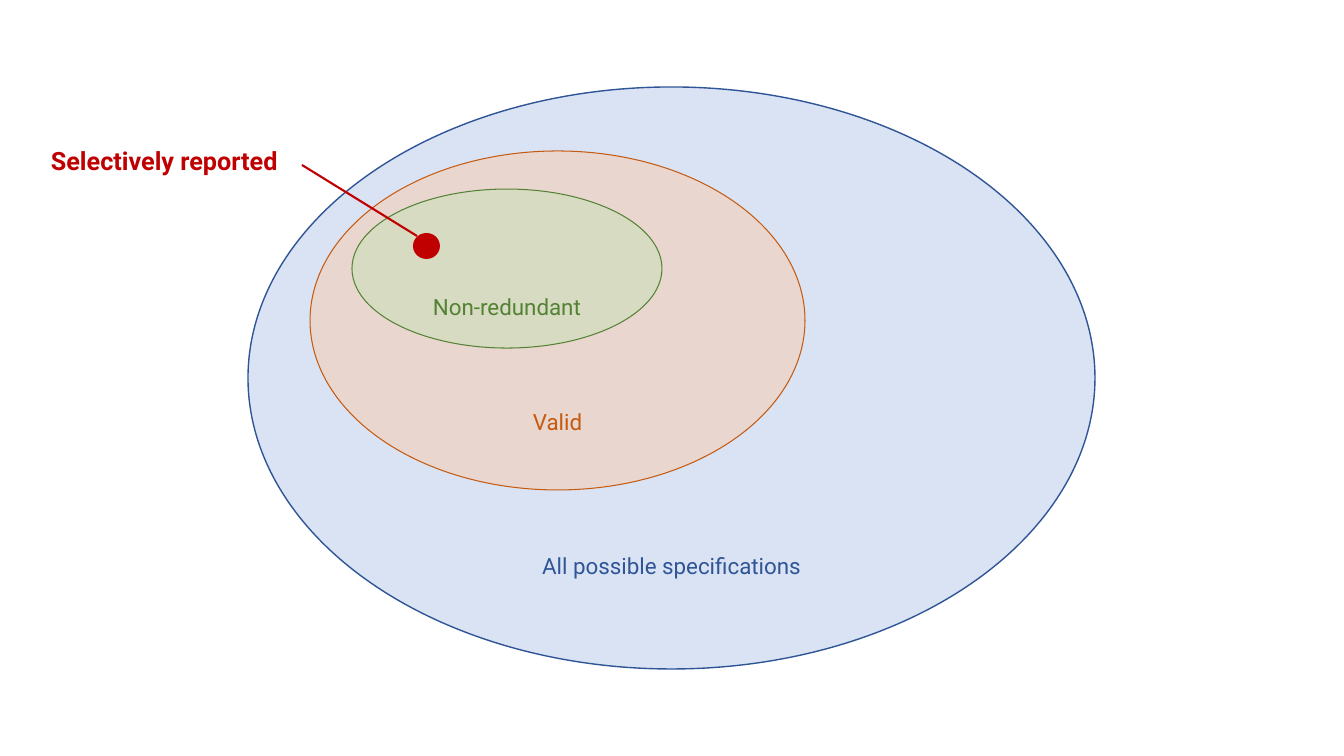
import pptx
import pptx.util
import pptx.dml.color
import pptx.enum.shapes
import pptx.enum.text
import pptx.oxml.ns
from dataclasses import dataclass
from lxml import etree

SCALE = 914400 / 100.8


@dataclass(frozen=True)
class Theme:
    """Colours, font and type sizes of the slide."""
    blue: str = "2F5597"
    sky: str = "DAE3F3"
    rust: str = "C55A11"
    peach: str = "F8CBAD"
    green: str = "548235"
    lime: str = "C5E0B4"
    red: str = "C00000"
    font: str = "Roboto"
    body: int = 16
    label: int = 18


THEME = Theme()


def emu(*pixels):
    """Turn pixels into EMU."""
    return [pptx.util.Emu(round(p * SCALE)) for p in pixels]


def color(code):
    """Return a colour from its hex code."""
    return pptx.dml.color.RGBColor.from_string(code)


def write(frame, text, tint, size, **values):
    """Write one line of text with the given font values."""
    frame.word_wrap = True
    run = frame.paragraphs[0].add_run()
    run.text = text
    run.font.color.rgb = color(tint)
    values.update(name=THEME.font, size=pptx.util.Pt(size))
    for key, value in values.items():
        setattr(run.font, key, value)


def add_oval(slide, box, fill, alpha=100):
    """Add a filled ellipse without an outline."""
    kind = pptx.enum.shapes.MSO_SHAPE.OVAL
    oval = slide.shapes.add_shape(kind, *emu(*box))
    oval.shadow.inherit = False
    oval.fill.solid()
    oval.fill.fore_color.rgb = color(fill)
    oval.line.fill.background()
    if alpha < 100:
        tag = pptx.oxml.ns.qn("a:srgbClr")
        node = next(oval.fill._xPr.iter(tag))
        etree.SubElement(node, pptx.oxml.ns.qn("a:alpha"), val=str(alpha * 1000))
    return oval


def add_set(slide, text, box, fill, tint, width, alpha):
    """Add an outlined set with its name at the bottom."""
    oval = add_oval(slide, box, fill, alpha)
    oval.line.color.rgb = color(tint)
    oval.line.width = pptx.util.Pt(width)
    frame = oval.text_frame
    frame.vertical_anchor = pptx.enum.text.MSO_ANCHOR.BOTTOM
    frame.paragraphs[0].alignment = pptx.enum.text.PP_ALIGN.CENTER
    write(frame, text, tint, THEME.body)


def add_label(slide, text, box, tint):
    """Add a bold text label."""
    frame = slide.shapes.add_textbox(*emu(*box)).text_frame
    write(frame, text, tint, THEME.label, bold=True)
    frame.auto_size = pptx.enum.text.MSO_AUTO_SIZE.SHAPE_TO_FIT_TEXT


def add_line(slide, ends, tint, width):
    """Add a straight line without a shadow."""
    kind = pptx.enum.shapes.MSO_CONNECTOR.STRAIGHT
    line = slide.shapes.add_connector(kind, *emu(*ends))
    line.line.color.rgb = color(tint)
    line.line.width = pptx.util.Pt(width)
    etree.SubElement(line._element.spPr, pptx.oxml.ns.qn("a:effectLst"))


def main():
    """Build the nested sets and the marked point."""
    deck = pptx.Presentation()
    deck.slide_width, deck.slide_height = emu(1344, 756)
    slide = deck.slides.add_slide(deck.slide_layouts[6])
    sets = [
        ("All possible specifications", (248, 87, 847, 582),
         THEME.sky, THEME.blue, 1, 100),
        ("Valid", (310, 151, 495, 339), THEME.peach, THEME.rust, 0.75, 50),
        ("Non-redundant", (352, 189, 310, 159),
         THEME.lime, THEME.green, 0.75, 50),
    ]
    for item in sets:
        add_set(slide, *item)
    add_oval(slide, (413, 233, 27, 26), THEME.red)
    add_label(slide, "Selectively reported", (41, 140, 324, 40), THEME.red)
    add_line(slide, (417, 236, 302, 165), THEME.red, 1.5)
    deck.save("out.pptx")


main()
